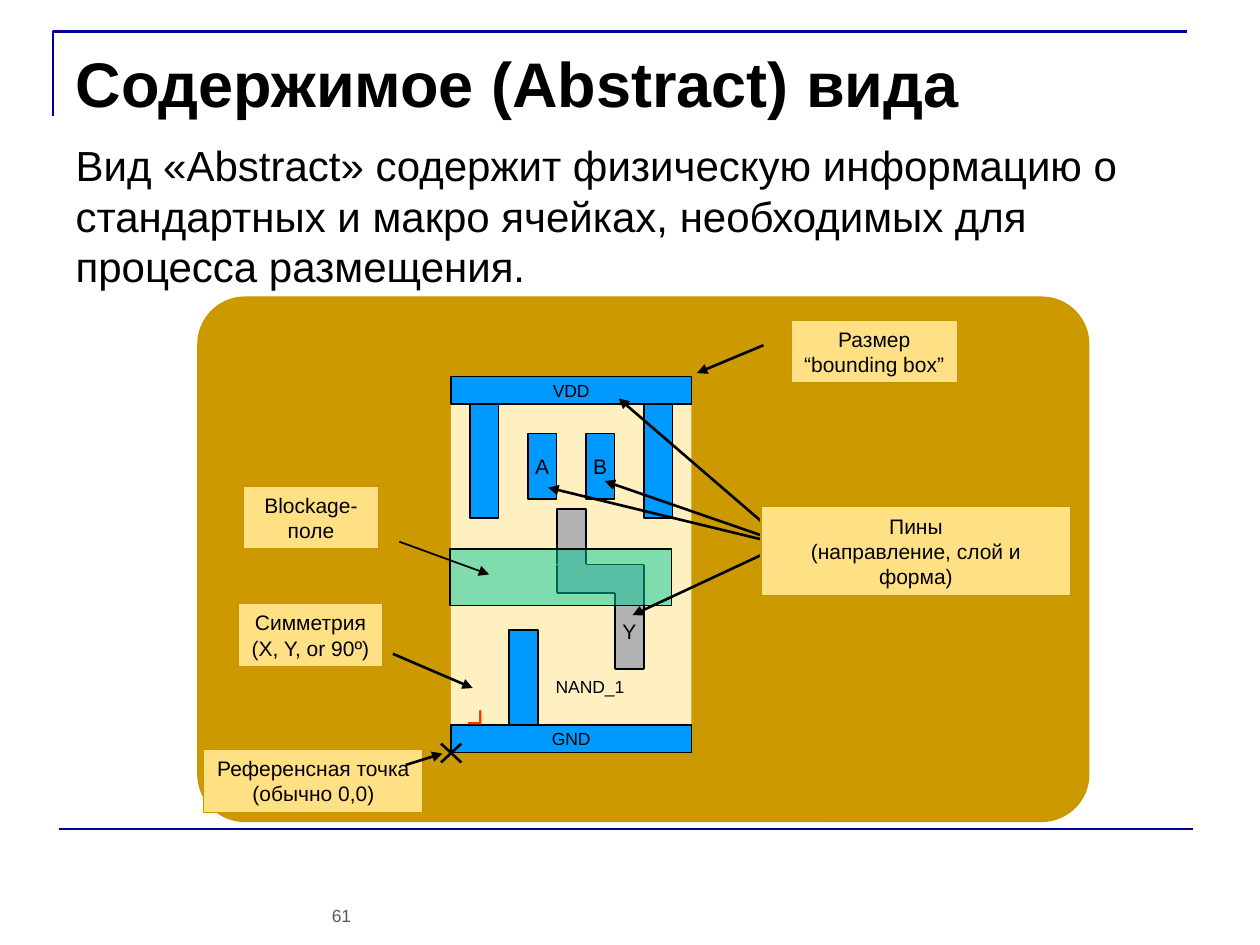
from itertools import pairwise
from typing import NamedTuple

from lxml.etree import SubElement
from pptx import Presentation
from pptx.dml.color import RGBColor
from pptx.enum.shapes import MSO_CONNECTOR as Link, MSO_SHAPE as Kind
from pptx.enum.text import MSO_ANCHOR as Anchor, MSO_AUTO_SIZE as Fit, PP_ALIGN as Align
from pptx.oxml.ns import qn
from pptx.util import Cm, Pt

BLACK = RGBColor(0x00, 0x00, 0x00)
NAVY = RGBColor(0x00, 0x00, 0x99)
GOLD = RGBColor(0xCC, 0x99, 0x00)
EDGE = RGBColor(0xC8, 0x96, 0x00)
SAND = RGBColor(0xFF, 0xE0, 0x85)
CREAM = RGBColor(0xFF, 0xF0, 0xC2)
BLUE = RGBColor(0x00, 0x99, 0xFF)
GRAY = RGBColor(0xB2, 0xB2, 0xB2)
GREEN = RGBColor(0x00, 0xCC, 0x99)
RED = RGBColor(0xFF, 0x33, 0x00)
DARK = RGBColor(0x59, 0x59, 0x59)


class Box(NamedTuple):
    """A filled rectangle; lengths in centimetres."""
    x: float
    y: float
    w: float
    h: float
    fill: RGBColor
    edge: RGBColor | None = BLACK
    text: str = ""
    size: int = 12
    wrap: bool = False
    width: float = 1


class Line(NamedTuple):
    """A straight line; an arrowhead, if any, sits at the end."""
    x1: float
    y1: float
    x2: float
    y2: float
    width: float = 1.5
    arrow: bool = True
    color: RGBColor = BLACK


class Note(NamedTuple):
    """Text without a frame."""
    x: float
    y: float
    w: float
    h: float
    text: str
    size: int
    color: RGBColor = BLACK
    align: Align = Align.CENTER
    font: str = "Arial"


def label(x: float, y: float, w: float, h: float, text: str, wrap: bool = False) -> Box:
    return Box(x, y, w, h, SAND, EDGE, text, wrap=wrap, width=0.75)


def style(frame, size: int, color: RGBColor, align: Align,
          font: str = "Arial", bold: bool = False) -> None:
    for para in frame.paragraphs:
        para.alignment = align
        para.space_before = Pt(0)
        for run in para.runs:
            run.font.name = font
            run.font.size = Pt(size)
            run.font.bold = bold
            run.font.color.rgb = color


def draw_box(shapes, box: Box, kind: Kind = Kind.RECTANGLE):
    shape = shapes.add_shape(kind, Cm(box.x), Cm(box.y), Cm(box.w), Cm(box.h))
    shape.shadow.inherit = False
    shape.fill.solid()
    shape.fill.fore_color.rgb = box.fill
    if box.edge is None:
        shape.line.fill.background()
    else:
        shape.line.color.rgb = box.edge
        shape.line.width = Pt(box.width)
    if box.text:
        frame = shape.text_frame
        frame.text = box.text
        frame.word_wrap = box.wrap
        frame.vertical_anchor = Anchor.MIDDLE
        style(frame, box.size, BLACK, Align.CENTER)
    return shape


def draw_line(shapes, line: Line) -> None:
    link = shapes.add_connector(Link.STRAIGHT, Cm(line.x1), Cm(line.y1),
                                Cm(line.x2), Cm(line.y2))
    link.line.color.rgb = line.color
    link.line.width = Pt(line.width)
    if line.arrow:
        SubElement(link.line._get_or_add_ln(), qn("a:tailEnd"), type="triangle")
    SubElement(link._element.spPr, qn("a:effectLst"))


def draw_note(shapes, note: Note) -> None:
    frame = shapes.add_textbox(Cm(note.x), Cm(note.y), Cm(note.w), Cm(note.h)).text_frame
    frame.text = note.text
    frame.word_wrap = False
    style(frame, note.size, note.color, note.align, note.font)


def fill_holder(holder, place: tuple, text: str, size: int, bold: bool = False) -> None:
    holder.left, holder.top, holder.width, holder.height = map(Cm, place)
    frame = holder.text_frame
    frame.text = text
    frame.auto_size = Fit.NONE
    frame.vertical_anchor = Anchor.TOP
    props = frame.paragraphs[0]._p.get_or_add_pPr()
    props.set("marL", "0")
    props.set("indent", "0")
    SubElement(props, qn("a:buNone"))
    style(frame, size, BLACK, Align.LEFT, bold=bold)


def draw_frame(shapes) -> None:
    pen = shapes.build_freeform(Cm(1.07), Cm(2.34))
    pen.add_line_segments([(Cm(1.07), Cm(0.64)), (Cm(23.93), Cm(0.64))], close=False)
    corner = pen.convert_to_shape()
    corner.shadow.inherit = False
    corner.fill.background()
    corner.line.color.rgb = NAVY
    corner.line.width = Pt(1.5)
    draw_line(shapes, Line(1.19, 16.71, 24.05, 16.71, arrow=False, color=NAVY))
    draw_note(shapes, Note(6.35, 18.11, 1.07, 0.69, "61", 10, DARK))


PANEL = Box(3.99, 5.99, 17.96, 10.57, GOLD, EDGE, width=0.75)
CELL = [
    Box(9.09, 7.59, 4.85, 7.59, CREAM, None),
    Box(9.09, 7.59, 4.85, 0.56, BLUE, text="VDD", size=10),
    Box(9.09, 14.61, 4.85, 0.56, BLUE, text="GND", size=10),
    Box(9.47, 8.15, 0.58, 2.29, BLUE),
    Box(12.98, 8.15, 0.58, 2.29, BLUE),
    Box(10.26, 12.7, 0.58, 1.91, BLUE),
    Box(10.64, 8.74, 0.58, 1.32, BLUE, text="A"),
    Box(11.81, 8.74, 0.58, 1.32, BLUE, text="B"),
    Box(11.23, 10.26, 0.58, 1.14, GRAY),
    Box(11.23, 11.38, 1.75, 0.56, GRAY, GRAY),
    Box(12.4, 11.96, 0.58, 1.52, GRAY, GRAY, "Y"),
]
BEND = [(11.23, 11.38), (11.23, 11.96), (12.4, 11.96), (12.4, 13.49),
        (12.98, 13.49), (12.98, 11.38), (11.81, 11.38)]
BLOCK = Box(9.07, 11.07, 4.47, 1.14, GREEN)
LINES = [
    Line(8.18, 15.42, 8.92, 15.19),
    Line(15.39, 6.96, 14.05, 7.52),
    Line(15.75, 11, 12.75, 12.4),
    Line(15.75, 10.97, 11.05, 9.83),
    Line(15.8, 10.95, 12.19, 9.7),
    Line(15.8, 10.9, 12.47, 8.03),
    Line(7.92, 13.18, 9.53, 13.87),
    Line(8.05, 10.92, 9.86, 11.58, width=1),
    Line(8.89, 14.99, 9.3, 15.37, arrow=False),
    Line(8.89, 15.37, 9.3, 14.99, arrow=False),
]
LABELS = [
    label(4.11, 15.11, 4.42, 1.27, "Референсная точка\v(обычно 0,0)"),
    label(15.95, 6.45, 3.35, 1.27, "Размер\n“bounding box”"),
    label(4.9, 9.8, 2.74, 1.27, "Blockage- поле", wrap=True),
    label(4.8, 12.17, 2.92, 1.27, "Симметрия\n(X, Y, or 90º)"),
    label(15.34, 10.21, 6.25, 1.8, "Пины\v(направление, слой и форма)", wrap=True),
]
NOTES = [
    Note(10.95, 13.51, 1.91, 0.69, "NAND_1", 10, align=Align.LEFT),
    Note(9.07, 13.59, 0.99, 1.27, "⌟", 24, RED, font="DejaVu Sans Mono"),
]


def main() -> None:
    deck = Presentation()
    deck.slide_width, deck.slide_height = Cm(25.4), Cm(19.05)
    slide = deck.slides.add_slide(deck.slide_layouts[1])
    shapes = slide.shapes
    fill_holder(shapes.title, (1.27, 0.76, 22.86, 3.18),
                "Содержимое (Abstract) вида", 36, bold=True)
    fill_holder(slide.placeholders[1], (1.27, 2.69, 22.86, 12.57),
                "Вид «Abstract» содержит физическую информацию о стандартных и макро "
                "ячейках, необходимых для процесса размещения.", 24)
    draw_frame(shapes)
    panel = draw_box(shapes, PANEL, Kind.ROUNDED_RECTANGLE)
    panel.adjustments[0] = 0.09
    for box in CELL:
        draw_box(shapes, box)
    for start, end in pairwise(BEND):
        draw_line(shapes, Line(*start, *end, width=1, arrow=False))
    block = draw_box(shapes, BLOCK)
    tint = block.fill._xPr.find(qn("a:solidFill"))[0]
    SubElement(tint, qn("a:alpha"), val="50000")
    for box in LABELS[:-1]:
        draw_box(shapes, box)
    for line in LINES:
        draw_line(shapes, line)
    draw_box(shapes, LABELS[-1])
    for note in NOTES:
        draw_note(shapes, note)
    deck.save("out.pptx")


if __name__ == "__main__":
    main()
